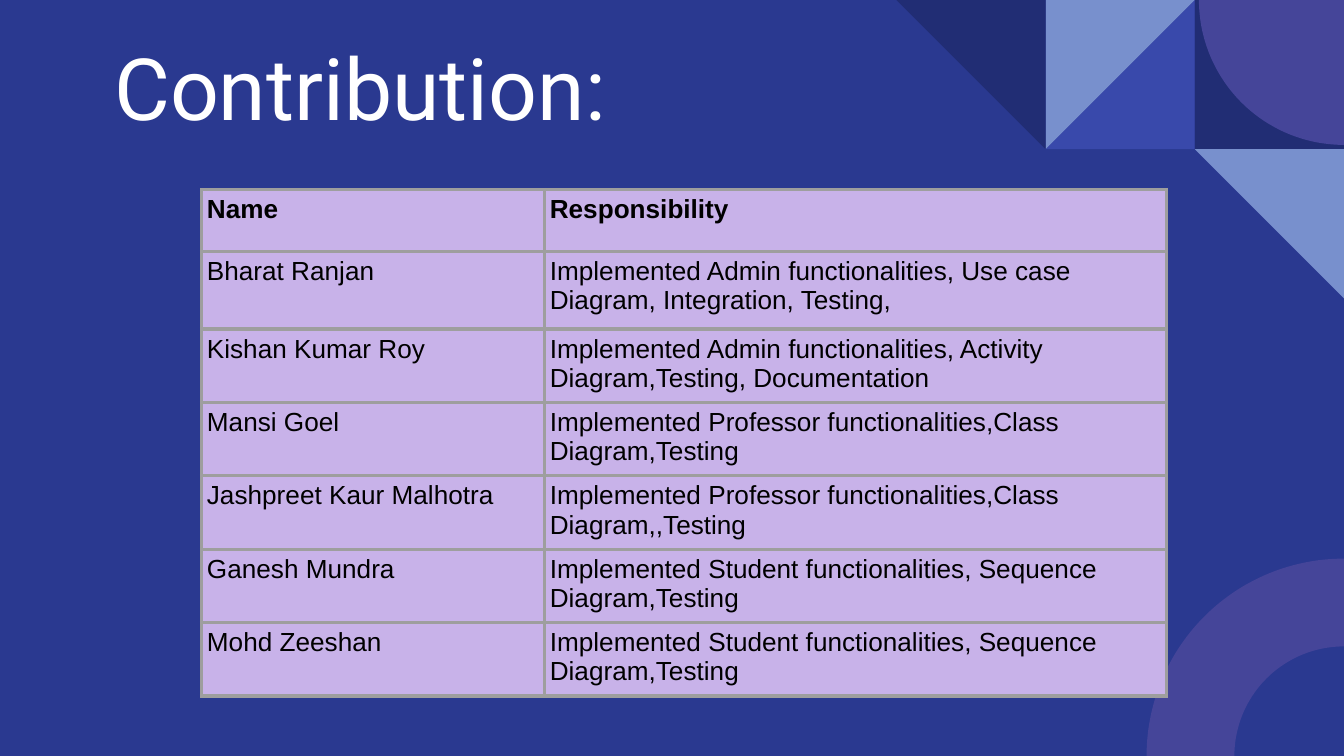
from dataclasses import dataclass
from math import cos, pi, sin

from lxml.etree import SubElement as Sub
from pptx import Presentation as Deck
from pptx.dml.color import RGBColor as Color
from pptx.enum.shapes import MSO_SHAPE as Kind
from pptx.enum.text import MSO_ANCHOR as Anchor
from pptx.oxml.ns import qn
from pptx.util import Cm, Pt

WIDE, HIGH, SIDE = 25.4, 14.29, 2.82
NAVY, BLUE, PALE, PLUM = "212D74", "3949AB", "7890CD", "454599"
LILAC, GREY = "C8B2E9", "9E9E9E"
TITLE = {"name": "Roboto", "size": Pt(46), "bold": False}
HEAD = {"name": "Arial", "size": Pt(14), "bold": True}
BODY = {**HEAD, "bold": False}
INSET = {f"margin_{edge}": Cm(0.1) for edge in ("left", "right", "top", "bottom")}
FLUSH = {key: Cm(0) for key in INSET}


@dataclass
class Tile:
    col: int
    row: int
    kind: Kind
    tint: str
    turn: int = 0
    flip: bool = False


@dataclass
class Row:
    name: str
    task: str
    tall: float
    font: dict


TILES = [
    Tile(1, 0, Kind.RECTANGLE, NAVY),
    Tile(2, 0, Kind.RIGHT_TRIANGLE, BLUE, flip=True),
    Tile(2, 0, Kind.RIGHT_TRIANGLE, PALE, 180, True),
    Tile(3, 0, Kind.RIGHT_TRIANGLE, NAVY, 180),
    Tile(1, 1, Kind.RIGHT_TRIANGLE, PALE, 180),
]

ROWS = [
    Row("Name", "Responsibility", 1.17, HEAD),
    Row("Bharat Ranjan", "Implemented Admin functionalities, Use case Diagram, Integration, Testing,", 1.47, BODY),
    Row("Kishan Kumar Roy", "Implemented Admin functionalities, Activity Diagram,Testing, Documentation", 1.04, BODY),
    Row("Mansi Goel", "Implemented Professor functionalities,Class Diagram,Testing", 1.04, BODY),
    Row("Jashpreet Kaur Malhotra", "Implemented Professor functionalities,Class Diagram,,Testing", 1.02, BODY),
    Row("Ganesh Mundra", "Implemented Student functionalities, Sequence Diagram,Testing", 1.17, BODY),
    Row("Mohd Zeeshan", "Implemented Student functionalities, Sequence Diagram,Testing", 1.17, BODY),
]


def hue(code: str) -> Color:
    return Color.from_string(code)


def apply(item, style: dict) -> None:
    for key, value in style.items():
        setattr(item, key, value)


def paint(shape, tint: str) -> None:
    shape.shadow.inherit = False
    shape.fill.solid()
    shape.fill.fore_color.rgb = hue(tint)
    shape.line.fill.background()


def write(para, text: str, font: dict, tint: str) -> None:
    run = para.add_run()
    run.text = text
    apply(run.font, font)
    run.font.color.rgb = hue(tint)


def draw_tile(slide, tile: Tile) -> None:
    left, top = WIDE - tile.col * SIDE, tile.row * SIDE
    shape = slide.shapes.add_shape(tile.kind, Cm(left), Cm(top), Cm(SIDE), Cm(SIDE))
    paint(shape, tile.tint)
    shape.rotation = tile.turn
    if tile.flip:
        shape._element.spPr.find(qn("a:xfrm")).set("flipH", "1")


def arc(mid: float, size: float, start: float) -> list[tuple[int, int]]:
    turns = [start + pi / 2 * step / 60 for step in range(61)]
    return [(Cm(WIDE + size * cos(turn)), Cm(mid + size * sin(turn))) for turn in turns]


def draw_curve(slide, dots: list[tuple[int, int]]) -> None:
    pen = slide.shapes.build_freeform(*dots[0])
    pen.add_line_segments(dots[1:], close=True)
    paint(pen.convert_to_shape(), PLUM)


def draw_title(slide, text: str) -> None:
    frame = slide.shapes.add_textbox(Cm(2.16), Cm(0.58), Cm(22.83), Cm(2.34)).text_frame
    apply(frame, {**FLUSH, "word_wrap": True, "vertical_anchor": Anchor.MIDDLE})
    para = frame.paragraphs[0]
    para.line_spacing = 0.9
    write(para, text, TITLE, "FFFFFF")


def edge_cell(cell) -> None:
    props = cell._tc.get_or_add_tcPr()
    for side in ("lnL", "lnR", "lnT", "lnB"):
        line = Sub(props, qn(f"a:{side}"), w=str(Pt(2)))
        Sub(Sub(line, qn("a:solidFill")), qn("a:srgbClr"), val=GREY)


def draw_table(slide, rows: list[Row], cols: list[float]) -> None:
    tall = sum(row.tall for row in rows)
    table = slide.shapes.add_table(
        len(rows), len(cols), Cm(3.81), Cm(3.58), Cm(sum(cols)), Cm(tall)
    ).table
    apply(table, {"first_row": False, "horz_banding": False})
    for col, width in zip(table.columns, cols):
        col.width = Cm(width)
    for line, row in zip(table.rows, rows):
        line.height = Cm(row.tall)
        for cell, text in zip(line.cells, (row.name, row.task)):
            edge_cell(cell)
            apply(cell, INSET)
            cell.fill.solid()
            cell.fill.fore_color.rgb = hue(LILAC)
            write(cell.text_frame.paragraphs[0], text, row.font, "000000")


def main() -> None:
    deck = Deck()
    apply(deck, {"slide_width": Cm(WIDE), "slide_height": Cm(HIGH)})
    slide = deck.slides.add_slide(deck.slide_layouts[6])
    slide.background.fill.solid()
    slide.background.fill.fore_color.rgb = hue("2A3990")
    for tile in TILES:
        draw_tile(slide, tile)
    draw_title(slide, "Contribution:")
    draw_curve(slide, [(Cm(WIDE), Cm(0))] + arc(0, 2.74, pi / 2))
    draw_curve(slide, arc(HIGH, 3.73, pi) + arc(HIGH, 2.07, pi)[::-1])
    draw_table(slide, ROWS, [6.48, 11.76])
    deck.save("out.pptx")


if __name__ == "__main__":
    main()
